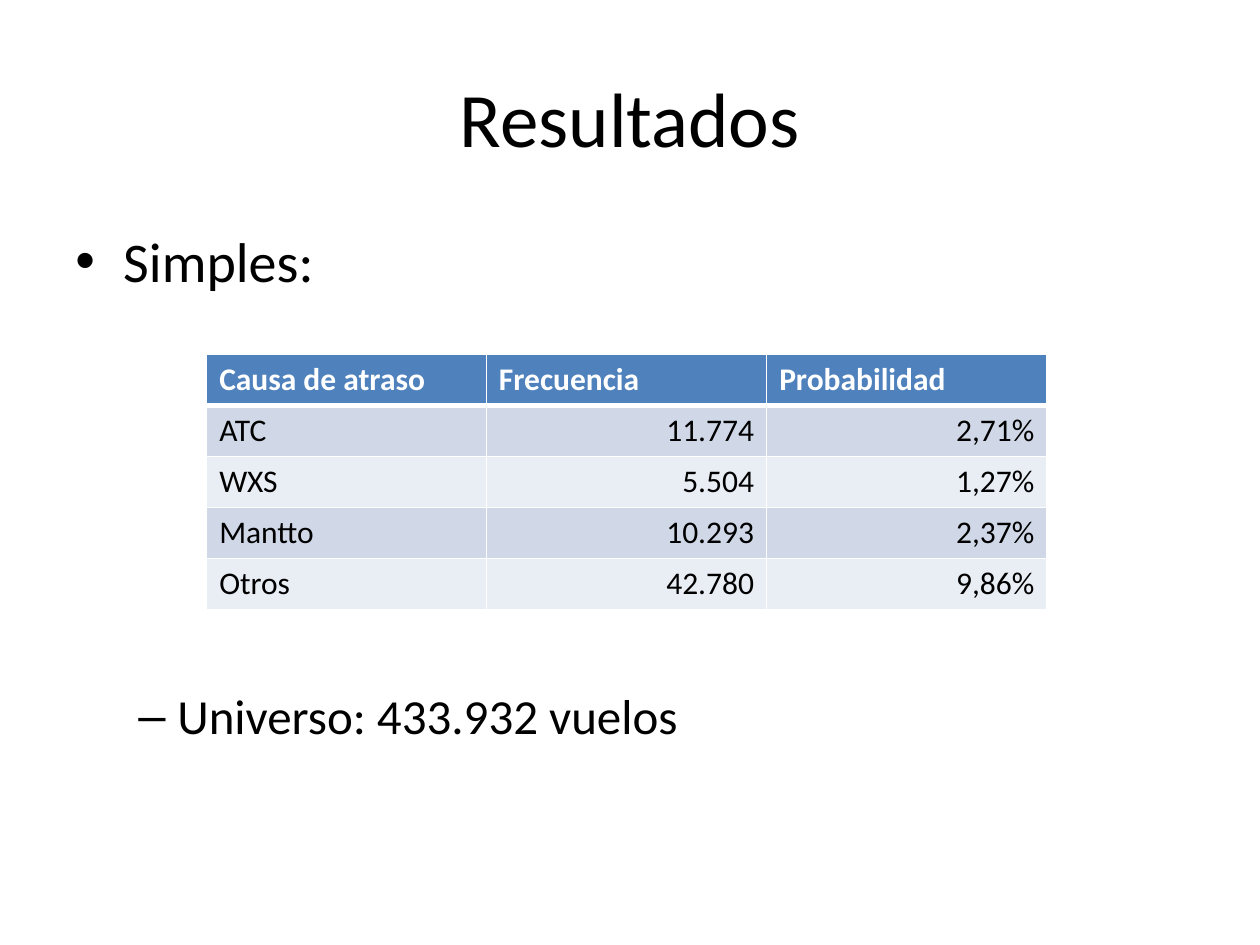
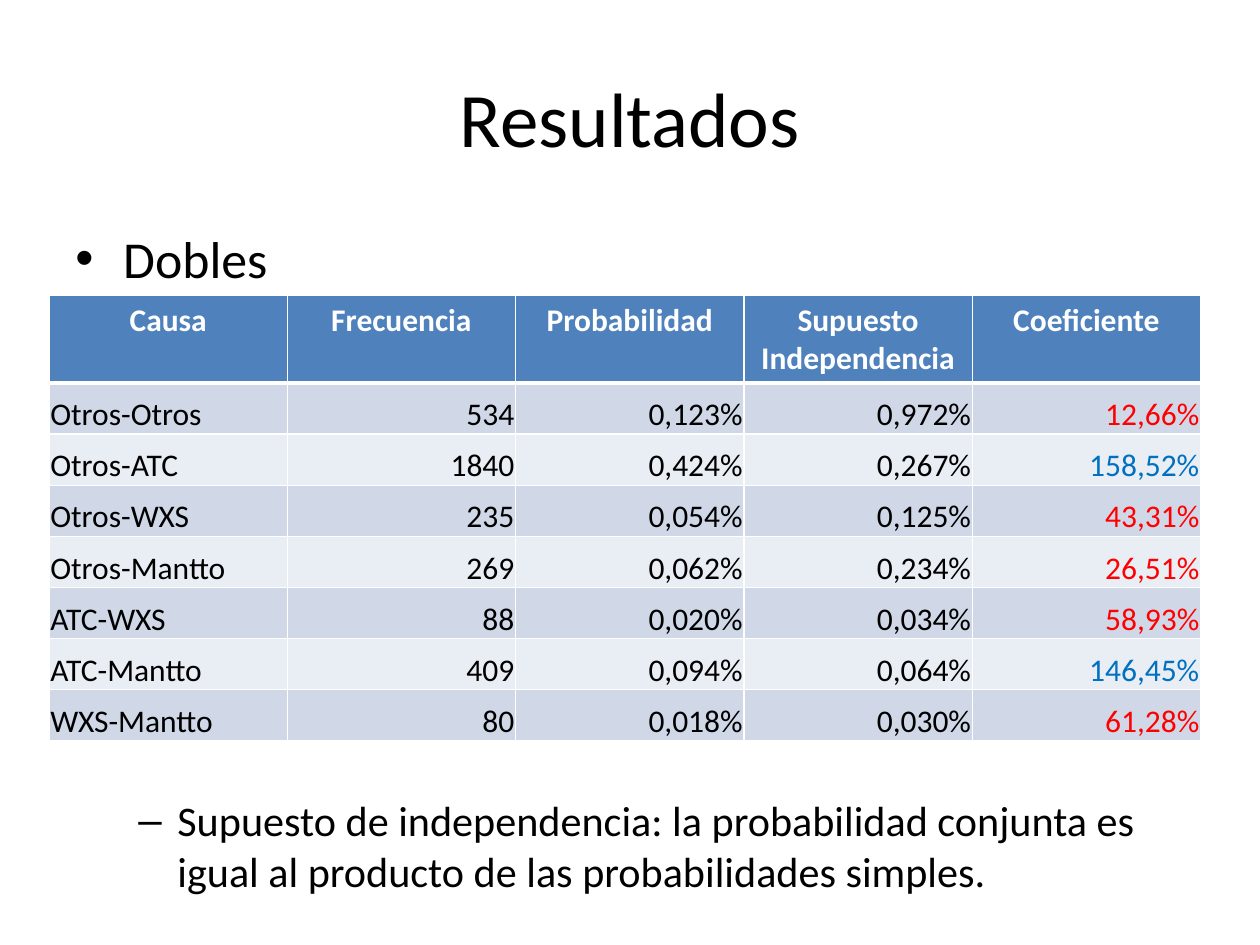
import dataclasses
import pptx
import pptx.util
import pptx.dml.color
import pptx.enum.text
import pptx.oxml.ns
import lxml.etree

Inches, Pt = pptx.util.Inches, pptx.util.Pt
Align, Anchor = pptx.enum.text.PP_ALIGN, pptx.enum.text.MSO_ANCHOR
qn = pptx.oxml.ns.qn


@dataclasses.dataclass(frozen=True)
class Theme:
    font: str = "Calibri"
    ink: str = "000000"
    white: str = "FFFFFF"
    head: str = "4F81BD"
    bands: tuple = ("D0D8E8", "E9EDF4")
    low: str = "FF0000"
    high: str = "0070C0"
    title: float = 44
    cell: float = 18


theme = Theme()


def style(par, size, color, bold=False):
    """Set font, size and colour on the runs of a paragraph."""
    for run in par.runs:
        run.font.name = theme.font
        run.font.size = Pt(size)
        run.font.bold = bold
        run.font.color.rgb = pptx.dml.color.RGBColor.from_string(color)


def edge(cell, side, width):
    """Draw one white border of a table cell."""
    line = lxml.etree.Element(qn("a:" + side), w=str(Pt(width)))
    fill = lxml.etree.SubElement(line, qn("a:solidFill"))
    lxml.etree.SubElement(fill, qn("a:srgbClr"), val=theme.white)
    props = cell._tc.get_or_add_tcPr()
    props.insert(len(props.findall("*")) - 1, line)  # borders precede the fill


# Each point: text, size, space before, bullet, left edge, hanging indent
pages = [
    dict(
        body=4.95,
        points=[("Simples:", 32, 0, "•", 0.38, 0.38),
                ("Universo: 433.932 vuelos", 28, 224, "–", 0.81, 0.31)],
        box=(1.64, 2.81, 6.67, 2.03), first=2.22, top=0.41,
        tight=False, align=Align.LEFT,
        rows=[("Causa de atraso", "Frecuencia", "Probabilidad"),
              ("ATC", "11.774", "2,71%"),
              ("WXS", "5.504", "1,27%"),
              ("Mantto", "10.293", "2,37%"),
              ("Otros", "42.780", "9,86%")]),
    dict(
        body=5.36,
        points=[("Dobles", 29.6, 0, "•", 0.38, 0.38),
                ("Supuesto de independencia: la probabilidad conjunta es igual "
                 "al producto de las probabilidades simples.",
                 24.1, 289, "–", 0.81, 0.31)],
        box=(0.39, 2.34, 9.14, 3.54), first=1.89, top=0.7,
        tight=True, align=Align.CENTER,
        rows=[("Causa", "Frecuencia", "Probabilidad",
               "Supuesto Independencia", "Coeficiente"),
              ("Otros-Otros", "534", "0,123%", "0,972%", "12,66%"),
              ("Otros-ATC", "1840", "0,424%", "0,267%", "158,52%"),
              ("Otros-WXS", "235", "0,054%", "0,125%", "43,31%"),
              ("Otros-Mantto", "269", "0,062%", "0,234%", "26,51%"),
              ("ATC-WXS", "88", "0,020%", "0,034%", "58,93%"),
              ("ATC-Mantto", "409", "0,094%", "0,064%", "146,45%"),
              ("WXS-Mantto", "80", "0,018%", "0,030%", "61,28%")]),
]

deck = pptx.Presentation()
deck.slide_width, deck.slide_height = Inches(10), Inches(7.5)

for page in pages:
    slide = deck.slides.add_slide(deck.slide_layouts[6])

    # Title
    frame = slide.shapes.add_textbox(
        Inches(0.5), Inches(0.3), Inches(9), Inches(1.25)).text_frame
    frame.word_wrap = True
    frame.vertical_anchor = Anchor.MIDDLE
    frame.text = "Resultados"
    frame.paragraphs[0].alignment = Align.CENTER
    style(frame.paragraphs[0], theme.title, theme.ink)

    # Bullets above and below the table
    frame = slide.shapes.add_textbox(
        Inches(0.5), Inches(1.75), Inches(9), Inches(page["body"])).text_frame
    frame.word_wrap = True
    for n, (text, size, space, mark, left, hang) in enumerate(page["points"]):
        par = frame.add_paragraph() if n else frame.paragraphs[0]
        par.text = text
        par.level = n
        par.space_before = Pt(space)
        style(par, size, theme.ink)
        props = par._p.get_or_add_pPr()
        props.set("marL", str(Inches(left)))
        props.set("indent", str(-Inches(hang)))
        lxml.etree.SubElement(props, qn("a:buFont"), typeface="Arial")
        lxml.etree.SubElement(props, qn("a:buChar"), char=mark)

    # Table
    rows = page["rows"]
    high, wide = len(rows), len(rows[0])
    x, y, width, height = page["box"]
    table = slide.shapes.add_table(
        high, wide, Inches(x), Inches(y), Inches(width), Inches(height)).table
    for c, col in enumerate(table.columns):
        rest = (width - page["first"]) / (wide - 1)
        col.width = Inches(rest if c else page["first"])
    for r, row in enumerate(table.rows):
        rest = (height - page["top"]) / (high - 1)
        row.height = Inches(rest if r else page["top"])
        for c, text in enumerate(rows[r]):
            cell = table.cell(r, c)
            cell.text_frame.text = text
            par = cell.text_frame.paragraphs[0]
            fill, color = theme.head, theme.white
            par.alignment = page["align"]
            if r:
                fill, color = theme.bands[(r - 1) % 2], theme.ink
                par.alignment = Align.RIGHT if c else Align.LEFT
                if c == 4:
                    over = float(text.strip("%").replace(",", ".")) > 100
                    color = theme.high if over else theme.low
                if page["tight"]:
                    cell.vertical_anchor = Anchor.BOTTOM
                    cell.margin_left = cell.margin_right = Inches(0.01)
                    cell.margin_top, cell.margin_bottom = Inches(0.01), 0
            style(par, theme.cell, color, bold=r == 0)
            cell.fill.solid()
            cell.fill.fore_color.rgb = pptx.dml.color.RGBColor.from_string(fill)
            for side in ("lnL", "lnR", "lnT", "lnB"):
                thick = (r, side) in ((0, "lnB"), (1, "lnT"))
                edge(cell, side, 3 if thick else 1)

deck.save("out.pptx")
